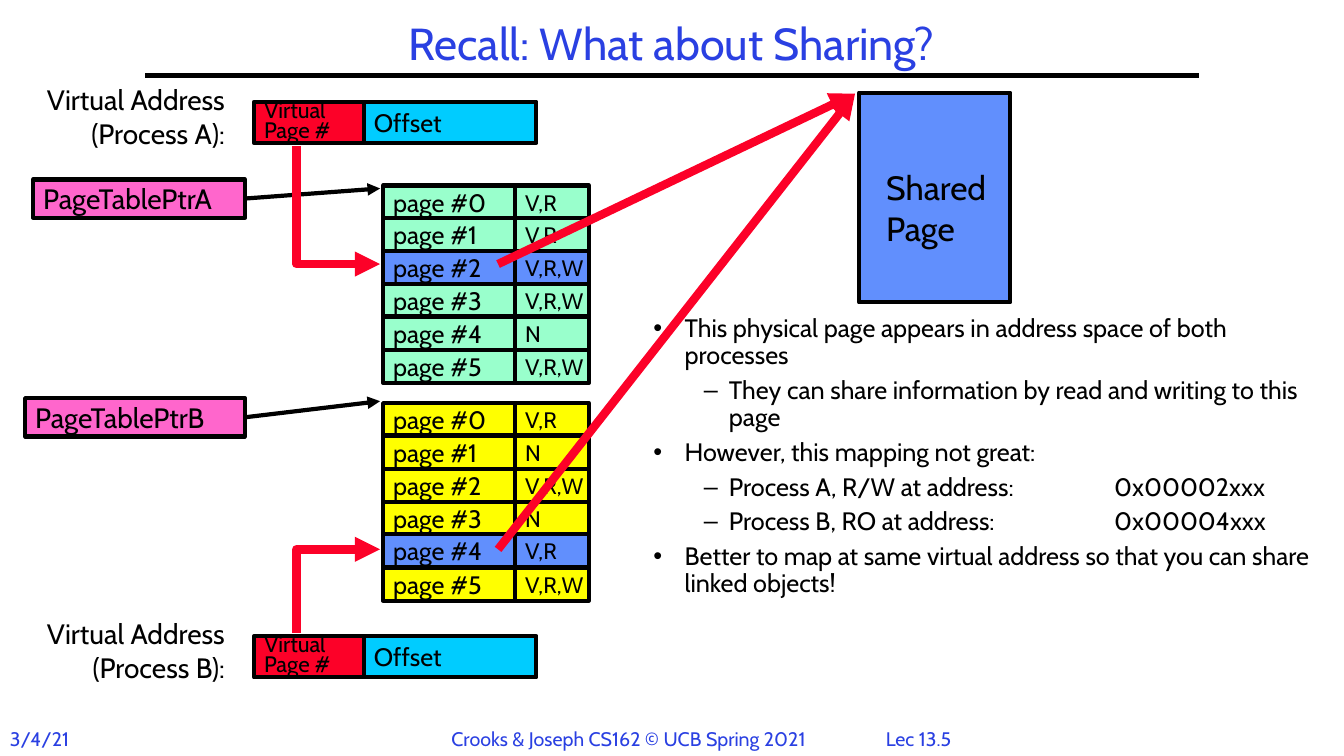
from dataclasses import dataclass

from lxml.etree import SubElement
from pptx import Presentation
from pptx.dml.color import RGBColor
from pptx.enum.shapes import MSO_CONNECTOR as Connector, MSO_SHAPE as Preset
from pptx.enum.text import MSO_ANCHOR as Anchor, MSO_AUTO_SIZE as AutoSize, PP_ALIGN as Align
from pptx.oxml.ns import qn
from pptx.util import Emu, Pt

FONT = "Cabin"
BLACK, WHITE, BLUE, RED = "000000", "FFFFFF", "2A40E2", "FC0128"
PINK, CYAN, SHARED, MINT, YELLOW = "FF66CC", "00CCFF", "618FFD", "99FFCC", "FFFF00"


@dataclass
class Process:
    name: str
    address_top: int
    pointer_left: int
    pointer_top: int
    arrow_tip: int
    table_top: int
    colour: str
    shared_row: int
    flags: list[str]
    elbow: list[tuple[int, int]]


@dataclass
class Point:
    text: str
    level: int = 0
    tab: bool = False


@dataclass
class Footer:
    left: int
    width: int
    text: str
    align: Align = Align.LEFT


PROCESSES = [
    Process("B", 631, 25, 395, 398, 400, YELLOW, 4,
            ["V,R", "N", "V,R,W", "N", "V,R", "V,R,W"],
            [(294, 628), (294, 545), (377, 545)]),
    Process("A", 101, 33, 178, 187, 184, MINT, 2,
            ["V,R", "V,R", "V,R,W", "V,R,W", "N", "V,R,W"],
            [(294, 145), (294, 262), (377, 262)]),
]
POINTS = [
    Point("This physical page appears in address space of both processes"),
    Point("They can share information by read and writing to this page", 1),
    Point("However, this mapping not great:"),
    Point("Process A, R/W at address:\t0x00002xxx", 1, True),
    Point("Process B, RO at address:\t0x00004xxx", 1, True),
    Point("Better to map at same virtual address so that you can share linked objects!"),
]
FOOTERS = [
    Footer(850, 122, "Lec 13.5", Align.CENTER),
    Footer(0, 80, "3/4/21"),
    Footer(438, 376, "Crooks & Joseph CS162 © UCB Spring 2021"),
]


def px(length: int) -> Emu:
    """Turn px (100 to the inch) into EMU."""
    return Emu(length * 9144)


def rgb(colour: str) -> RGBColor:
    return RGBColor.from_string(colour)


def style(para, size: int, colour: str = BLACK) -> None:
    para.font.name = FONT
    para.font.size = Pt(size)
    para.font.color.rgb = rgb(colour)


def write(shape, lines: list[str], size: int, colour: str = BLACK,
          align: Align = Align.LEFT, spacing: float | None = None) -> None:
    frame = shape.text_frame
    for index, line in enumerate(lines):
        para = frame.add_paragraph() if index else frame.paragraphs[0]
        para.text = line
        para.alignment = align
        if spacing:
            para.line_spacing = spacing
        style(para, size, colour)


def add_label(page, left: int, top: int, width: int, height: int, lines: list[str],
              size: int, colour: str = BLACK, align: Align = Align.LEFT,
              wrap: bool = False) -> None:
    box = page.shapes.add_textbox(px(left), px(top), px(width), px(height))
    box.text_frame.word_wrap = wrap
    write(box, lines, size, colour, align)


def add_box(page, left: int, top: int, width: int, height: int, fill: str,
            lines: list[str], size: int, spacing: float | None = None):
    box = page.shapes.add_shape(Preset.RECTANGLE, px(left), px(top), px(width), px(height))
    box.shadow.inherit = False
    box.fill.solid()
    box.fill.fore_color.rgb = rgb(fill)
    box.line.color.rgb = rgb(BLACK)
    box.line.width = Pt(3)
    box.text_frame.vertical_anchor = Anchor.MIDDLE
    box.text_frame.word_wrap = False
    write(box, lines, size, spacing=spacing)
    return box


def set_stroke(line, colour: str, width: int, arrow: bool) -> None:
    line.color.rgb = rgb(colour)
    line.width = Pt(width)
    if arrow:
        SubElement(line._get_or_add_ln(), qn("a:tailEnd"), type="triangle")


def add_line(page, start: tuple[int, int], end: tuple[int, int], colour: str,
             width: int, arrow: bool = True):
    line = page.shapes.add_connector(Connector.STRAIGHT, *map(px, start + end))
    set_stroke(line.line, colour, width, arrow)
    SubElement(line._element.spPr, qn("a:effectLst"))
    return line


def add_elbow(page, points: list[tuple[int, int]]) -> None:
    start, *rest = [(px(x), px(y)) for x, y in points]
    builder = page.shapes.build_freeform(*start)
    builder.add_line_segments(rest, close=False)
    elbow = builder.convert_to_shape()
    elbow.shadow.inherit = False
    elbow.fill.background()
    set_stroke(elbow.line, RED, 6, True)


def add_process(page, process: Process) -> None:
    # Pointer to the page table
    left, top = process.pointer_left, process.pointer_top
    pointer = add_box(page, left, top, 243 - left, 38, PINK, [f"PageTablePtr{process.name}"], 20)
    arrow = add_line(page, (243, top + 19), (377, process.arrow_tip), BLACK, 3)
    arrow.begin_connect(pointer, 3)

    # Page table, with the shared row in front
    rows = sorted(enumerate(process.flags), key=lambda row: row[0] == process.shared_row)
    for index, flags in rows:
        fill = SHARED if index == process.shared_row else process.colour
        row_top = process.table_top + 327 * index // 10
        add_box(page, 380, row_top, 131, 33, fill, [f"page #{index}"], 18)
        add_box(page, 511, row_top, 73, 33, fill, [flags], 16)

    # Virtual address
    top = process.address_top
    add_box(page, 361, top, 171, 41, CYAN, ["Offset"], 18)
    add_box(page, 252, top, 109, 41, RED, ["Virtual", "Page #"], 16, 0.75)
    add_label(page, 25, top - 24, 208, 77,
              ["Virtual Address", f"(Process {process.name}):"], 20, align=Align.RIGHT)
    add_elbow(page, process.elbow)


def place(holder, left: int, top: int, width: int, height: int, anchor: Anchor) -> None:
    holder.left, holder.top, holder.width, holder.height = map(px, (left, top, width, height))
    holder.text_frame.auto_size = AutoSize.NONE
    holder.text_frame.vertical_anchor = anchor


def add_points(body) -> None:
    for index, point in enumerate(POINTS):
        para = body.text_frame.add_paragraph() if index else body.text_frame.paragraphs[0]
        para.text = point.text
        para.level = point.level
        para.line_spacing = 0.9
        para.space_before = Pt(5.4 if index else 0)
        margin, hanging, bullet = [(31, -31, "•"), (75, -25, "–")][point.level]
        props = para._p.get_or_add_pPr()
        props.set("marL", str(px(margin)))
        props.set("indent", str(px(hanging)))
        SubElement(props, qn("a:buChar"), char=bullet)
        if point.tab:
            tabs = SubElement(props, qn("a:tabLst"))
            SubElement(tabs, qn("a:tab"), pos=str(px(457)), algn="l")
        style(para, 18)


def main() -> None:
    deck = Presentation()
    deck.slide_width, deck.slide_height = px(1333), px(750)
    page = deck.slides.add_slide(deck.slide_layouts[1])
    page.background.fill.solid()
    page.background.fill.fore_color.rgb = rgb(WHITE)

    # Title, rule, footers and list
    title, body = page.placeholders
    place(title, 144, 17, 1044, 58, Anchor.MIDDLE)
    write(title, ["Recall: What about Sharing?"], 32, BLUE, Align.CENTER, 0.9)
    add_line(page, (144, 75), (1189, 75), BLACK, 3, arrow=False)
    for footer in FOOTERS:
        add_label(page, footer.left, 716, footer.width, 34, [footer.text], 14, BLUE,
                  footer.align, wrap=True)
    place(body, 638, 308, 692, 350, Anchor.TOP)
    add_points(body)

    # Both processes and the page they share
    for process in PROCESSES:
        add_process(page, process)
    add_box(page, 852, 92, 150, 208, SHARED, [], 24)
    add_label(page, 869, 161, 129, 91, ["Shared", "Page"], 24)
    for row_middle in (262, 545):
        add_line(page, (494, row_middle), (848, 93), RED, 6)

    deck.save("out.pptx")


if __name__ == "__main__":
    main()
